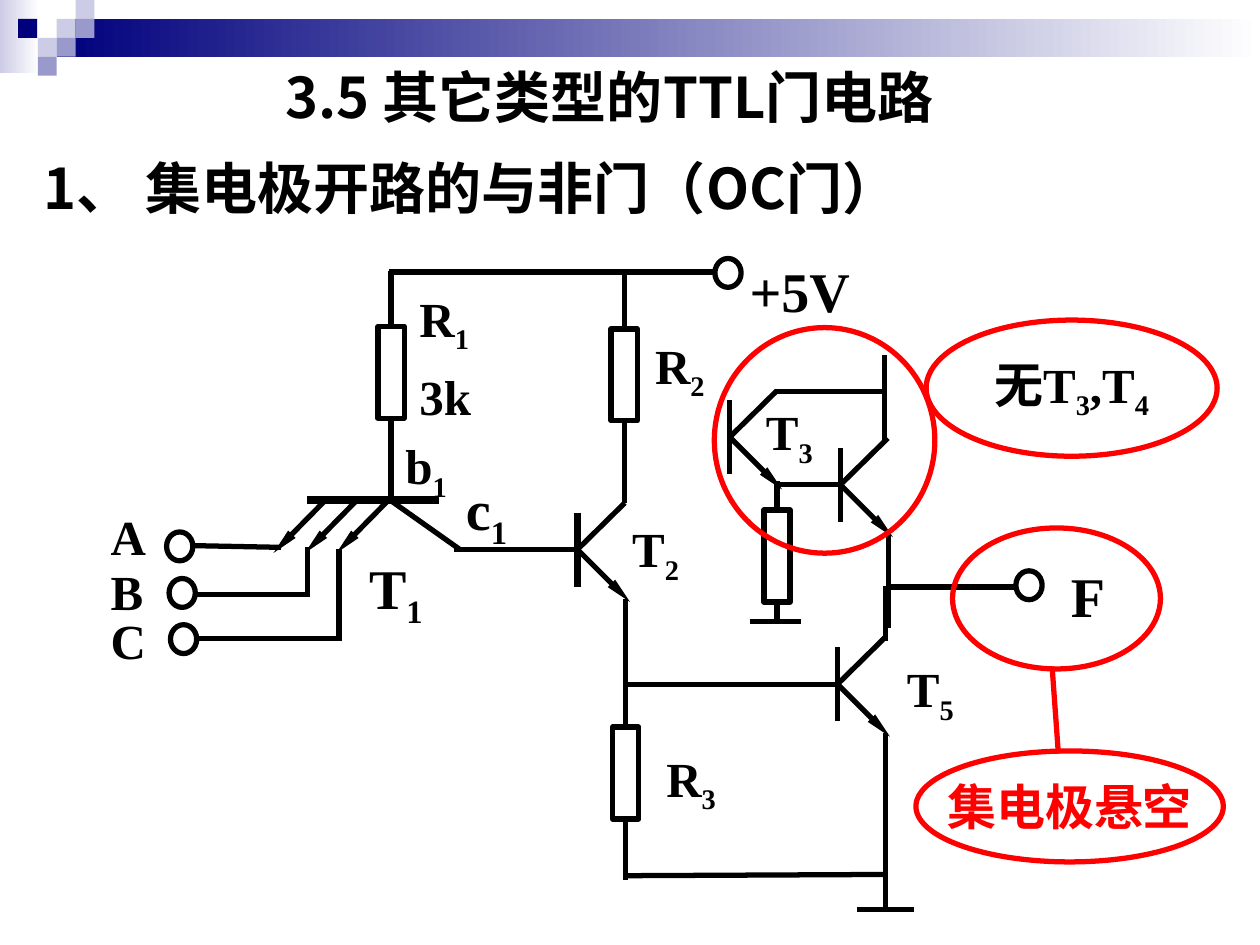
from lxml.etree import SubElement
from pptx import Presentation
from pptx.dml.color import RGBColor as RGB
from pptx.enum.shapes import MSO_CONNECTOR as Link, MSO_SHAPE as Form
from pptx.enum.text import MSO_ANCHOR as Anchor, PP_ALIGN as Align
from pptx.oxml.ns import qn
from pptx.util import Pt

hues = {"ink": "000000", "red": "FF0000", "navy": "00007D",
        "mid": "9999CC", "pale": "CCCCE6", "white": "FFFFFF"}
hues = {key: RGB.from_string(val) for key, val in hues.items()}
hand, sans = "Times New Roman", "Noto Sans CJK SC"

deck = Presentation()
deck.slide_width, deck.slide_height = Pt(720), Pt(540)
slide = deck.slides.add_slide(deck.slide_layouts[6])
shapes = slide.shapes


def draw(form, box, hue="ink"):
    item = shapes.add_shape(form, *map(Pt, box))
    item.shadow.inherit = False
    item.fill.background()
    item.line.color.rgb = hues[hue]
    item.line.width = Pt(3)
    return item


def write(item, words, size, face=hand, hue="ink"):
    para = item.text_frame.paragraphs[0]
    for i, part in enumerate(words.split("_")):
        run = para.add_run()
        run.text = part
        run.font.color.rgb = hues[hue]
        for key, val in {"size": Pt(size), "bold": True, "name": face}.items():
            setattr(run.font, key, val)
        props = run.font._element
        SubElement(props, qn("a:ea")).set("typeface", sans)
        if i % 2:
            props.set("baseline", "-25000")
    return para


for x, y, w, h, tone in [
    (0, 0, 22.5, 42, ("pale", "white")), (32.4, 10.8, 687.6, 21.6, ("navy", "white")),
    (32.4, 10.8, 10.8, 10.8, "pale"), (43.2, 0, 10.8, 10.8, "pale"),
    (43.2, 10.8, 10.8, 10.8, "mid"), (21.6, 21.6, 10.8, 10.8, "pale"),
    (10.4, 10.8, 10.8, 10.8, "navy"), (32.4, 21.6, 10.8, 10.8, "mid"),
    (21.6, 32.4, 10.8, 10.8, "mid"),
]:
    tile = draw(Form.RECTANGLE, (x, y, w, h))
    tile.line.fill.background()
    if isinstance(tone, tuple):
        tile.fill.gradient()
        tile.fill.gradient_angle = 0
        for stop, key, spot in zip(tile.fill.gradient_stops, tone, (0, 1)):
            stop.color.rgb = hues[key]
            stop.position = spot
    else:
        tile.fill.solid()
        tile.fill.fore_color.rgb = hues[tone]

parts = {}
for name, x, y in [("R1", 216, 186.5), ("R2", 349.2, 188),
                   ("R3", 350, 415.5), ("R4", 436.5, 291.5)]:
    parts[name] = draw(Form.RECTANGLE, (x, y, 15, 52.5))

for x, y in [(408.5, 147.7), (580.5, 326.2), (95.2, 304), (96.6, 330.6), (97.4, 357)]:
    draw(Form.OVAL, (x, y, 15, 16.5))

wires = [
    (223.2, 286, 262.8, 314), (259.2, 314, 330, 314),
    (222.5, 155.5, 409, 155.5), (478, 391, 357.8, 391),
    (357.8, 500.4, 506.2, 499.7), (506.2, 419, 506.2, 520.6),
    (489.6, 519.8, 522, 519.8), (506.2, 335.5, 581, 335.5),
    (160.6, 312.8, 110.2, 311.8), (175.7, 312.5, 175.7, 341.3),
    (175.7, 339.8, 111.6, 339.8), (193.7, 314, 193.7, 366.5),
    (195.1, 365, 113, 365), (506.2, 334.8, 506.2, 366.5),
    (442.8, 277, 480.3, 277), (442.8, 223.9, 505.4, 223.9),
    (505.4, 252.7, 505.4, 203), (428.4, 355, 457.9, 355),
    (507.6, 305.3, 507.6, 358.6),
]
lines = [(*wire, 3, "ink", False) for wire in wires]
lines.append((175.7, 285.8, 250.6, 285.8, 4.5, "ink", False))
lines.append((601.2, 380.9, 604.8, 430.6, 3, "red", False))
for x in (221.8, 203.8, 185.8):
    lines.append((x, 286, x - 29.5, 316, 3, "ink", True))
for x, y, thick in [(330, 314, 4.5), (478.6, 391, 3), (417, 249.8, 3), (480.3, 277, 3)]:
    lines += [(x, y - 21, x, y + 21.2, thick, "ink", False),
              (x, y, x + 30, y + 30, 3, "ink", True),
              (x, y, x + 27, y - 26.6, 3, "ink", False)]
leads = [("R1", 0, 223.5, 155), ("R1", 2, 223.5, 286), ("R2", 0, 356.7, 155),
         ("R2", 2, 356.7, 287.3), ("R3", 0, 357.5, 342), ("R3", 2, 357.5, 502.6),
         ("R4", 0, 444, 275), ("R4", 2, 444, 355.7)]
lines += [(x, y, x, y, 3, "ink", False, name, side) for name, side, x, y in leads]

for x, y, u, v, thick, hue, tip, *joint in lines:
    wire = shapes.add_connector(Link.STRAIGHT, Pt(x), Pt(y), Pt(u), Pt(v))
    if joint:
        wire.end_connect(parts[joint[0]], joint[1])
    wire.line.color.rgb = hues[hue]
    wire.line.width = Pt(thick)
    if tip:
        tail = SubElement(wire.line._get_or_add_ln(), qn("a:tailEnd"))
        for key, val in {"type": "triangle", "w": "sm", "len": "lg"}.items():
            tail.set(key, val)
    SubElement(wire._element.spPr, qn("a:effectLst"))

for words, size, x, y, w, face in [
    ("3.5 其它类型的TTL门电路", 32, 156.2, 32.4, 484.6, sans),
    ("1、 集电极开路的与非门（OC门）", 32, 18, 84.2, 576, sans),
    ("+5V", 32, 421.2, 143.3, 99.4, hand), ("F", 32, 604.8, 317.5, 58.3, hand),
    ("R_2", 28, 367.2, 187.9, 82.8, hand), ("R_1", 28, 232.6, 161.3, 82.8, hand),
    ("3k", 28, 232.6, 205.9, 97.2, hand), ("T_2", 28, 354.2, 293, 48.2, hand),
    ("R_3", 28, 373.7, 424.1, 80.6, hand), ("T_1", 32, 203.8, 312.5, 56.9, hand),
    ("T_5", 28, 511.2, 373, 52.6, hand), ("b_1", 28, 224.6, 245.5, 63.4, hand),
    ("c_1", 32, 259.2, 267.8, 79.2, hand), ("A", 28, 56.2, 285.8, 55.4, hand),
    ("B", 28, 56.2, 317.5, 55.4, hand), ("C", 28, 56.2, 345.6, 55.4, hand),
    ("T_3", 28, 430.6, 226.1, 77.8, hand),
]:
    label = shapes.add_textbox(Pt(x), Pt(y), Pt(w), Pt(45.4 if size == 32 else 41))
    label.text_frame.word_wrap = True
    write(label, words, size, face)

for box, words, hue in [
    ((544.3, 301.7, 118.8, 80.6), "", "red"),
    ((523.4, 429.1, 175.7, 63.4), "集电极悬空", "red"),
    ((408.2, 187.2, 126, 128.9), "", "red"),
    ((529.2, 182.9, 166.3, 77.8), "无T_3_,T_4", "ink"),
]:
    ring = draw(Form.OVAL, box, "red")
    if words:
        for key, val in {"word_wrap": False, "vertical_anchor": Anchor.MIDDLE}.items():
            setattr(ring.text_frame, key, val)
        write(ring, words, 28, hue=hue).alignment = Align.CENTER

deck.save("out.pptx")
